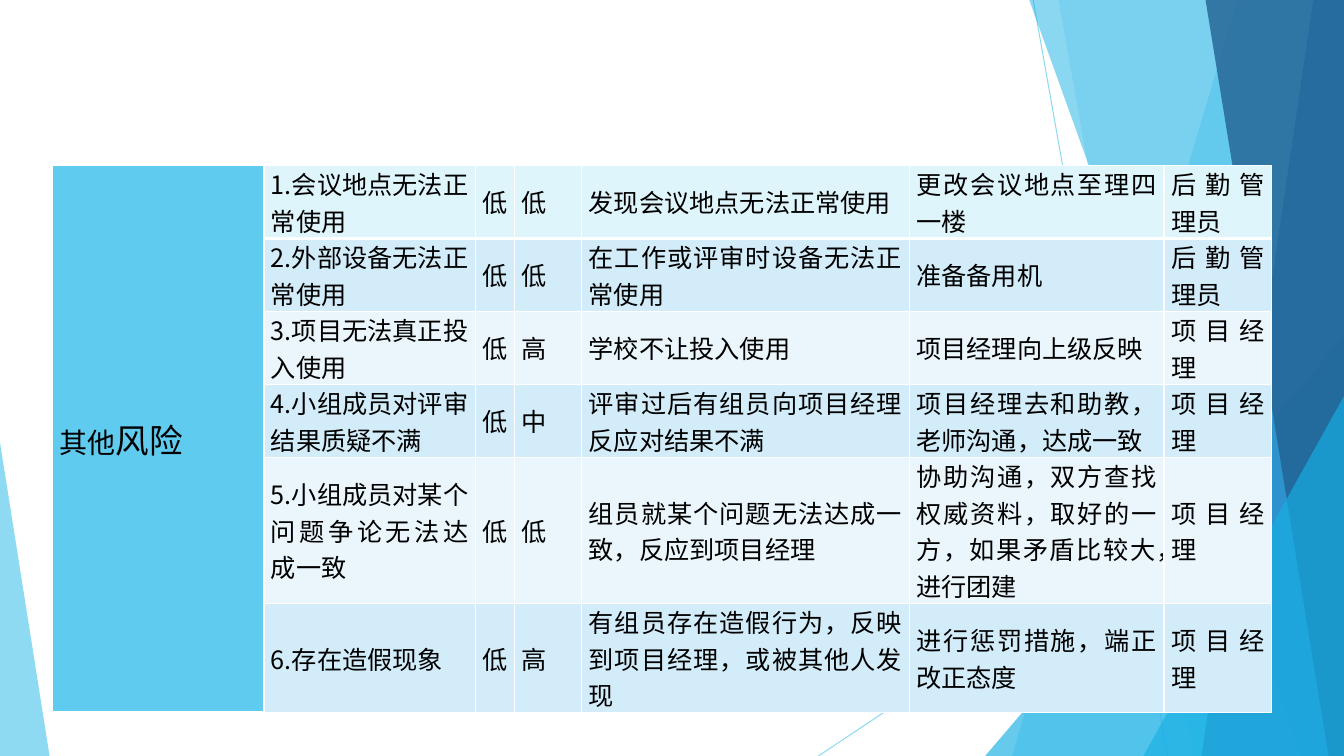
from lxml import etree
from pptx import Presentation
from pptx.enum import shapes, text
from pptx.dml.color import RGBColor
from pptx.oxml import ns
from pptx.util import Pt

FONT = "Noto Sans CJK SC"
COLORS = {
    "sky": "5FCBEF", "cyan": "17B0E4", "blue": "2E83C3", "navy": "226292",
    "first": "DFF5FC", "even": "D2ECF9", "odd": "EAF6FC",
    "white": "FFFFFF", "black": "000000",
}
WIDTH, HEIGHT = 960, 540

prs = Presentation()
prs.slide_width, prs.slide_height = Pt(WIDTH), Pt(HEIGHT)
s = prs.slides.add_slide(prs.slide_layouts[6])


def rgb(name):
    return RGBColor.from_string(COLORS[name])


def set_alpha(shape, percent):
    for clr in shape.element.iter(ns.qn("a:srgbClr")):
        etree.SubElement(clr, ns.qn("a:alpha"), val=str(percent * 1000))


# Thin crossing lines
for x1, y1, x2, y2 in [(738, 0, 834, HEIGHT), (WIDTH, 290, 584.6, HEIGHT)]:
    line = s.shapes.add_connector(shapes.MSO_CONNECTOR.STRAIGHT, Pt(x1), Pt(y1), Pt(x2), Pt(y2))
    line.line.color.rgb = rgb("sky")
    line.line.width = Pt(0.75)
    set_alpha(line, 70)
    etree.SubElement(line.element.spPr, ns.qn("a:effectLst"))

# Translucent facets, back to front
# wedge: top x, bottom x of its slanted edge; triangle: left, top, width, apex
facets = [
    ("wedge", (884.2, 722.9), "sky", 36),
    ("wedge", (756, 851.8), "sky", 20),
    ("triangle", (703.7, 240, 256.3, 1), "cyan", 66),
    ("wedge", (735, 929.5), "cyan", 50),
    ("wedge", (938.2, 858.2), "blue", 70),
    ("wedge", (861, 949), "navy", 80),
    ("triangle", (816.7, 283, 143.3, 1), "cyan", 66),
    ("triangle", (0, 316, 35.4, 0), "sky", 70),
]
for kind, geometry, color, alpha in facets:
    if kind == "wedge":
        top_x, bottom_x = geometry
        outline = s.shapes.build_freeform(Pt(top_x), Pt(-0.7))
        outline.add_line_segments([(Pt(WIDTH), Pt(-0.7)), (Pt(WIDTH), Pt(HEIGHT)),
                                   (Pt(bottom_x), Pt(HEIGHT))], close=True)
        sp = outline.convert_to_shape()
    else:
        left, top, width, apex = geometry
        sp = s.shapes.add_shape(shapes.MSO_SHAPE.ISOSCELES_TRIANGLE,
                                Pt(left), Pt(top), Pt(width), Pt(HEIGHT - top))
        sp.adjustments[0] = apex
    sp.shadow.inherit = False
    sp.fill.solid()
    sp.fill.fore_color.rgb = rgb(color)
    sp.line.fill.background()
    set_alpha(sp, alpha)

# Risk table: risk, likelihood, impact, sign, response, owner
risks = [
    ("1.会议地点无法正常使用", "低", "低", "发现会议地点无法正常使用", "更改会议地点至理四一楼", "后勤管理员"),
    ("2.外部设备无法正常使用", "低", "低", "在工作或评审时设备无法正常使用", "准备备用机", "后勤管理员"),
    ("3.项目无法真正投入使用", "低", "高", "学校不让投入使用", "项目经理向上级反映", "项目经理"),
    ("4.小组成员对评审结果质疑不满", "低", "中", "评审过后有组员向项目经理反应对结果不满",
     "项目经理去和助教，老师沟通，达成一致", "项目经理"),
    ("5.小组成员对某个问题争论无法达成一致", "低", "低", "组员就某个问题无法达成一致，反应到项目经理",
     "协助沟通，双方查找权威资料，取好的一方，如果矛盾比较大，进行团建", "项目经理"),
    ("6.存在造假现象", "低", "高", "有组员存在造假行为，反映到项目经理，或被其他人发现",
     "进行惩罚措施，端正改正态度", "项目经理"),
]
col_widths = [151, 151, 28.2, 47.8, 234, 182, 77]
row_heights = [52, 52, 52, 52, 104, 78]
cell_format = {
    "vertical_anchor": text.MSO_ANCHOR.MIDDLE,
    "margin_left": Pt(5), "margin_right": Pt(5), "margin_top": 0, "margin_bottom": 0,
}
table = s.shapes.add_table(len(risks), len(col_widths), Pt(37.6), Pt(118.2),
                           Pt(sum(col_widths)), Pt(sum(row_heights))).table
table.first_row = table.horz_banding = False
for column, width in zip(table.columns, col_widths):
    column.width = Pt(width)
for row, height in zip(table.rows, row_heights):
    row.height = Pt(height)
table.cell(0, 0).merge(table.cell(len(risks) - 1, 0))

for i, risk in enumerate(risks):
    category = [("其他", 20), ("风险", 24)] if i == 0 else []
    row_fill = "first" if i == 0 else "even" if i % 2 else "odd"
    for j, runs in enumerate([category] + [[(words, 18)] for words in risk]):
        cell = table.cell(i, j)
        for name, value in cell_format.items():
            setattr(cell, name, value)
        cell.fill.solid()
        cell.fill.fore_color.rgb = rgb("sky" if j == 0 else row_fill)

        # White borders, heavier around the first row's lower edge
        tc_pr = cell._tc.get_or_add_tcPr()
        for k, side in enumerate("LRTB"):
            heavy = (side == "B" and i == 0) or (side == "T" and i == 1 and j > 0)
            border = etree.Element(ns.qn("a:ln" + side), w=str(Pt(3 if heavy else 1)))
            solid = etree.SubElement(border, ns.qn("a:solidFill"))
            etree.SubElement(solid, ns.qn("a:srgbClr"), val=COLORS["white"])
            tc_pr.insert(k, border)

        p = cell.text_frame.paragraphs[0]
        p.alignment = text.PP_ALIGN.JUSTIFY
        for words, size in runs:
            r = p.add_run()
            r.text = words
            r.font.size = Pt(size)
            r.font.color.rgb = rgb("black")
            r.font.name = FONT
            etree.SubElement(r.font._element, ns.qn("a:ea"), typeface=FONT)

prs.save("out.pptx")
